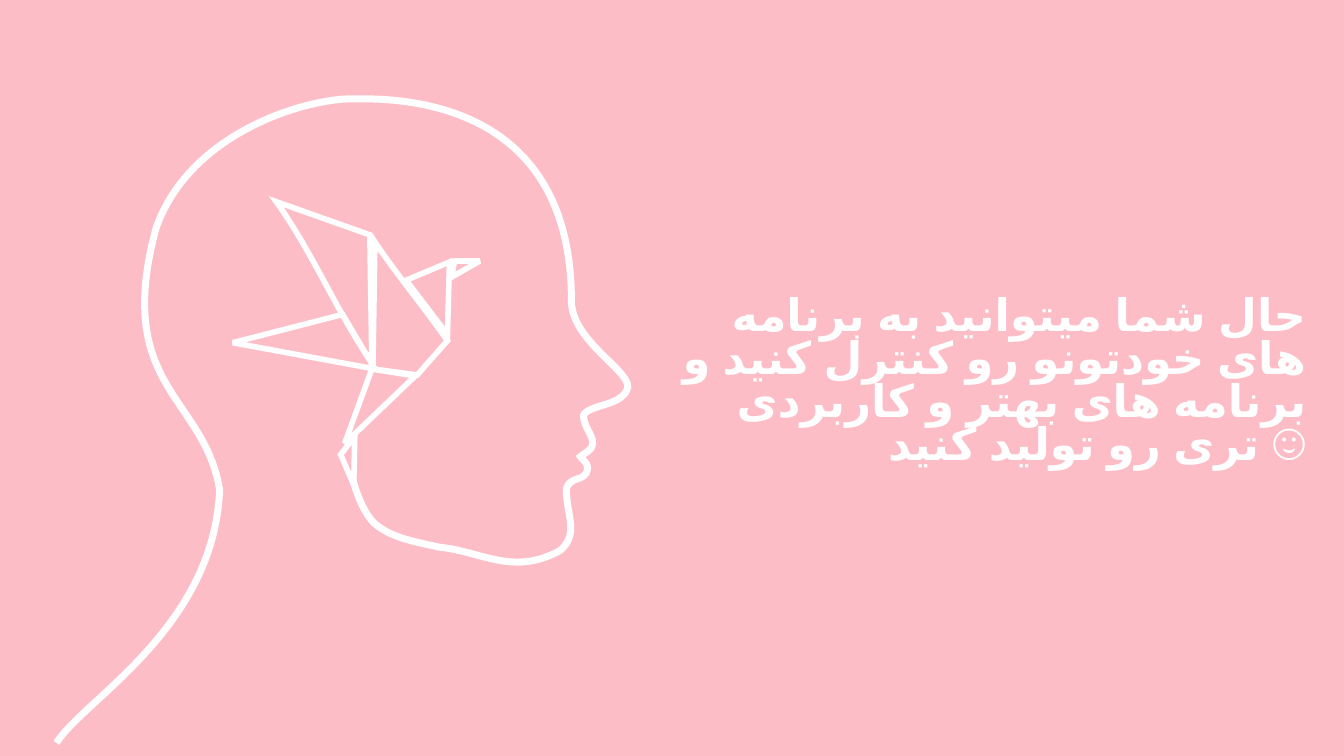
from math import cos, radians, sin

from lxml.etree import SubElement
from pptx import Presentation
from pptx.dml.color import RGBColor
from pptx.enum.lang import MSO_LANGUAGE_ID as Language
from pptx.enum.text import MSO_ANCHOR, MSO_AUTO_SIZE, PP_ALIGN
from pptx.oxml.ns import qn
from pptx.util import Cm, Pt

CM_PER_INCH = 2.54
MESSAGE = ("حال شما میتوانید به برنامه های خودتونو رو کنترل کنید و "
           "برنامه های بهتر و کاربردی تری رو تولید کنید ☺")

# Outlines in inches: a start point, then one point per line or three per curve.
# Each fold begins with its rotation in degrees.
BIRD_FOLDS = [
    (322.2, (3.52, 4.33), [[(3.51, 4.81)], [(3.38, 4.51)]]),
    (325.7, (3.42, 4.4), [[(3.69, 3.66)], [(4.12, 3.73)]]),
    (331.6, (4.51, 2.59), [[(4.76, 2.59)], [(4.48, 2.75)]]),
    (326.3, (4.03, 2.78), [[(4.46, 2.6)], [(4.44, 3.32)]]),
    (320, (2.31, 3.4), [[(3.4, 3.12)], [(3.72, 3.66)]]),
    (325.7, (4.14, 3.72), [[(4.44, 3.38)],
                           [(4.21, 3.05), (3.94, 2.73), (3.72, 2.4)],
                           [(3.7, 3.66)]]),
    (323.9, (3.67, 2.33), [[(2.74, 2)],
                           [(3.09, 2.48), (3.35, 3.11), (3.69, 3.6)]]),
]
HEAD_PROFILE = ((3.5, 4.75), [
    [(3.5, 4.76), (3.59, 5.11), (3.75, 5.22)],
    [(3.9, 5.33), (4.08, 5.37), (4.37, 5.43)],
    [(4.78, 5.47), (5.09, 5.72), (5.56, 5.46)],
    [(5.75, 5.29), (5.62, 5.12), (5.62, 4.85)],
    [(5.66, 4.71), (5.81, 4.79), (5.83, 4.65)],
    [(5.83, 4.58), (5.79, 4.58), (5.76, 4.53)],
    [(5.8, 4.49), (5.87, 4.48), (5.88, 4.4)],
    [(5.89, 4.32), (5.79, 4.24), (5.79, 4.12)],
    [(5.84, 4.01), (6.19, 4.03), (6.23, 3.84)],
    [(6.23, 3.66), (5.69, 3.39), (5.67, 3)],
    [(5.68, 0.95), (3.9, 0.98), (3.52, 0.98)],
    [(3.06, 0.97), (1.89, 1.3), (1.55, 2.26)],
    [(1.12, 3.84), (2.03, 3.93), (2.18, 4.86)],
    [(2.12, 6.24), (0.83, 6.94), (0.56, 7.37)],
])


def color(hex_code):
    return RGBColor.from_string(hex_code)


def to_emu(point):
    return tuple(Cm(CM_PER_INCH * value) for value in point)


def turn(point, degrees):
    """Rotate a point clockwise about the slide's top left corner."""
    x, y = point
    angle = radians(degrees)
    return x * cos(angle) - y * sin(angle), x * sin(angle) + y * cos(angle)


def bend(drawing, segments):
    """Turn the straight runs of each three-point segment into one curve."""
    lines = iter(list(drawing._element.iter(qn("a:lnTo"))))
    for segment in segments:
        steps = [next(lines) for _ in segment]
        if len(steps) == 3:
            path = steps[0].getparent()
            curve = SubElement(path, qn("a:cubicBezTo"))
            path.replace(steps[0], curve)
            for step in steps:
                curve.append(step[0])
            for step in steps[1:]:
                path.remove(step)


class SlideArtist:
    font = "Arial"
    ink = "FFFFFF"
    backdrop = "FDBDC7"

    def __init__(self, slide):
        self.slide = slide
        fill = slide.background.fill
        fill.solid()
        fill.fore_color.rgb = color(self.backdrop)

    def message(self, text, left, top, width, height):
        title = self.slide.shapes.title
        title.left, title.top = Cm(left), Cm(top)
        title.width, title.height = Cm(width), Cm(height)
        frame = title.text_frame
        frame.text = text
        frame.word_wrap = True
        frame.auto_size = MSO_AUTO_SIZE.NONE
        frame.vertical_anchor = MSO_ANCHOR.MIDDLE
        paragraph = frame.paragraphs[0]
        paragraph.alignment = PP_ALIGN.RIGHT
        paragraph.line_spacing = 0.8
        font = paragraph.runs[0].font
        font.name, font.size, font.bold = self.font, Pt(32), True
        font.color.rgb = color(self.ink)
        font.language_id = Language.FARSI

    def outline(self, shapes, start, segments, weight, closed, rotation=0):
        points = [to_emu(turn(point, -rotation))
                  for point in [start, *sum(segments, [])]]
        builder = shapes.build_freeform(*points[0])
        builder.add_line_segments(points[1:], close=closed)
        drawing = builder.convert_to_shape()
        bend(drawing, segments)
        half_width, half_height = drawing.width / 2, drawing.height / 2
        center = turn((drawing.left + half_width, drawing.top + half_height),
                      rotation)
        drawing.left = round(center[0] - half_width)
        drawing.top = round(center[1] - half_height)
        drawing.rotation = rotation
        drawing.shadow.inherit = False
        drawing.fill.background()
        drawing.line.color.rgb = color(self.ink)
        drawing.line.width = Pt(weight)
        SubElement(drawing.line._get_or_add_ln(), qn("a:miter"), lim="800000")

    def bird(self, folds):
        group = self.slide.shapes.add_group_shape()
        for rotation, start, segments in folds:
            self.outline(group.shapes, start, segments, 4, True, rotation)

    def head(self, profile):
        self.outline(self.slide.shapes, *profile, 5, closed=False)


def main():
    deck = Presentation()
    deck.slide_width, deck.slide_height = Cm(33.87), Cm(19.05)
    title_only = deck.slide_layouts[5]
    artist = SlideArtist(deck.slides.add_slide(title_only))
    artist.bird(BIRD_FOLDS)
    artist.head(HEAD_PROFILE)
    artist.message(MESSAGE, 15.93, 7.44, 17.25, 4.45)
    deck.save("out.pptx")


if __name__ == "__main__":
    main()
